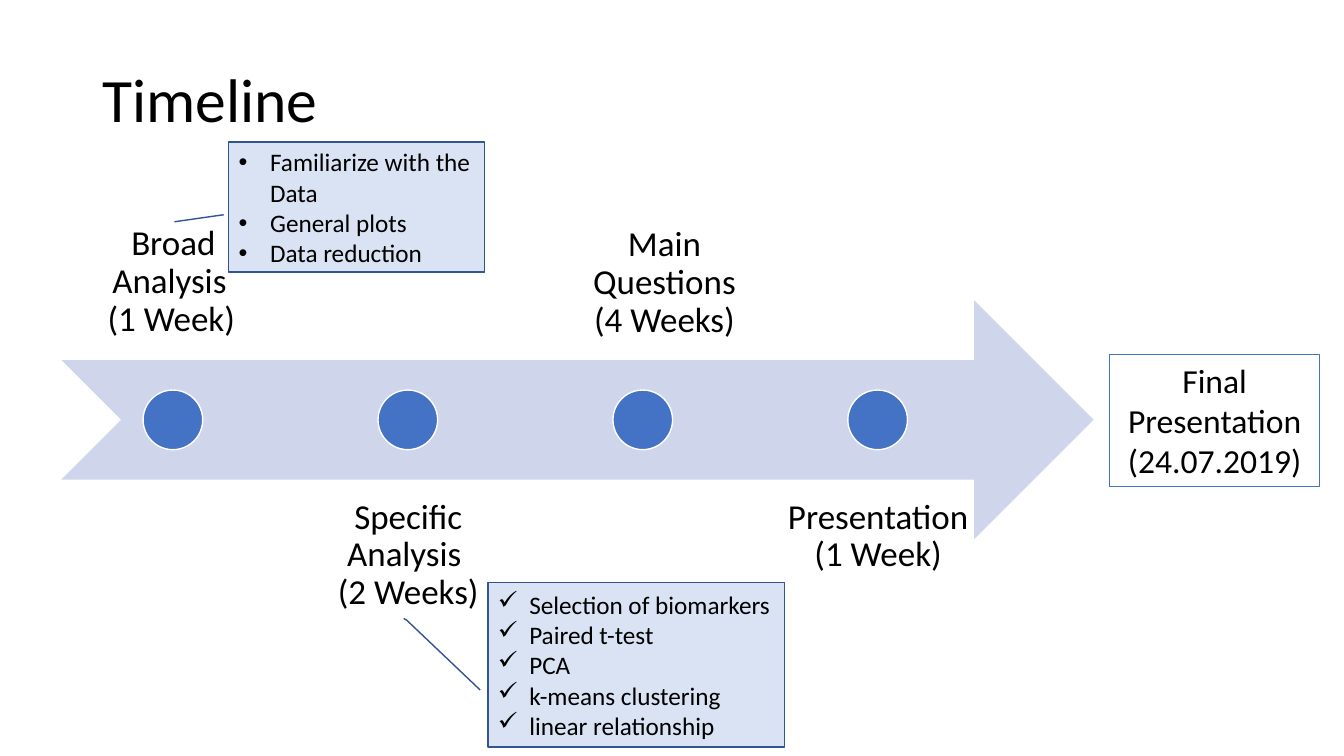
"""Build the project timeline slide."""
from lxml.etree import SubElement
from pptx import Presentation
from pptx.dml.color import RGBColor
from pptx.enum.shapes import MSO_CONNECTOR as CONN, MSO_SHAPE as SHAPE
from pptx.enum.text import MSO_ANCHOR as ANCHOR, PP_ALIGN as ALIGN
from pptx.oxml.ns import qn
from pptx.util import Pt

FONT = "Calibri"
BLACK, WHITE, BLUE = "000000", "FFFFFF", "4472C4"
ARROW_FILL, NOTE_FILL, NOTE_LINE, LINK = "CFD5EA", "DAE3F3", "325491", "2F5597"

TITLE = "Timeline"
# text, above the arrow, shift to the right, bottom inset
STAGES = [
    ("Broad Analysis ", True, 0, 43),
    ("Specific Analysis \v(2 Weeks)", False, 0, 13.7),
    ("Main Questions\v(4 Weeks)", True, 15.2, 13.7),
    ("Presentation\v(1 Week)", False, 0, 13.7),
]
BROAD_TIME = "(1 Week)"
FINAL = "Final Presentation\v(24.07.2019)"
BROAD_NOTE = ["Familiarize with the Data", "General plots", "Data reduction"]
SPECIFIC_NOTE = ["Selection of biomarkers", "Paired t-test", "PCA",
                 "k-means clustering", "linear relationship"]
CALLOUT = [0.653, -0.026, 0.228, -0.274, 0.218, -0.284]

ARROW = (43.9, 214.6, 737.3, 170.6)
LABEL_W, LABEL_H, STEP = 159.8, 170.6, 167.8
TOP_ABOVE, TOP_BELOW = 86, 342.7
DOT, DOT_X = 42.6, 102.2
INSET, INDENT = 13.7, 22.5


def rgb(value):
    return RGBColor.from_string(value)


def add_shape(kind, box, fill=None, line=None, width=1):
    s = slide.shapes.add_shape(kind, *map(Pt, box))
    s.shadow.inherit = False
    if fill:
        s.fill.solid()
        s.fill.fore_color.rgb = rgb(fill)
    else:
        s.fill.background()
    if line:
        s.line.color.rgb = rgb(line)
        s.line.width = Pt(width)
    else:
        s.line.fill.background()
    return s


def add_bullet(p, char):
    pPr = p._p.get_or_add_pPr()
    pPr.set("marL", str(Pt(INDENT)))
    pPr.set("indent", str(-Pt(INDENT)))
    if char == "•":
        SubElement(pPr, qn("a:buFont")).set("typeface", "Arial")
    SubElement(pPr, qn("a:buChar")).set("char", char)


def write(s, lines, size, align=ALIGN.LEFT, anchor=ANCHOR.TOP, spacing=None,
          bullet=None):
    tf = s.text_frame
    tf.word_wrap = True
    tf.vertical_anchor = anchor
    for i, line in enumerate(lines):
        p = tf.add_paragraph() if i else tf.paragraphs[0]
        p.text = line
        p.alignment = align
        if spacing:
            p.line_spacing = spacing
        if bullet:
            add_bullet(p, bullet)
        for r in p.runs:
            r.font.name = FONT
            r.font.size = Pt(size)
            r.font.color.rgb = rgb(BLACK)
    return tf


def add_text(box, text, size, **style):
    return write(slide.shapes.add_textbox(*map(Pt, box)), [text], size, **style)


def add_note(kind, box, lines, bullet):
    s = add_shape(kind, box, NOTE_FILL, NOTE_LINE)
    write(s, lines, 18, anchor=ANCHOR.MIDDLE, bullet=bullet)
    return s


prs = Presentation()
prs.slide_width, prs.slide_height = Pt(960), Pt(540)
slide = prs.slides.add_slide(prs.slide_layouts[6])

add_text((66, 20.9, 828, 104.4), TITLE, 44, anchor=ANCHOR.MIDDLE, spacing=0.9)
arrow = add_shape(SHAPE.NOTCHED_RIGHT_ARROW, ARROW, ARROW_FILL)

for i, (text, above, shift, bottom) in enumerate(STAGES):
    left = ARROW[0] + i * STEP + shift
    top = TOP_ABOVE if above else TOP_BELOW
    tf = add_text((left, top, LABEL_W, LABEL_H), text, 25, align=ALIGN.CENTER,
                  anchor=ANCHOR.BOTTOM if above else ANCHOR.TOP, spacing=0.9)
    tf.margin_left = tf.margin_right = tf.margin_top = Pt(INSET)
    tf.margin_bottom = Pt(bottom)
    dot_top = ARROW[1] + (ARROW[3] - DOT) / 2
    add_shape(SHAPE.OVAL, (DOT_X + i * STEP, dot_top, DOT, DOT), BLUE, WHITE)

add_text((69.8, 208.1, 115.9, 37.4), BROAD_TIME, 25)
add_note(SHAPE.RECTANGLE, (163.4, 101.5, 182.9, 92.9), BROAD_NOTE, "•")

link = slide.shapes.add_connector(CONN.STRAIGHT, Pt(124.6), Pt(158.4),
                                  Pt(159.8), Pt(153.4))
link.line.color.rgb = rgb(LINK)
link.line.width = Pt(1)
SubElement(link._element.spPr, qn("a:effectLst"))

callout = add_note(SHAPE.LINE_CALLOUT_2, (348.5, 416.2, 211.7, 117.4),
                   SPECIFIC_NOTE, "✓")
for i, value in enumerate(CALLOUT):
    callout.adjustments[i] = value

final = add_shape(SHAPE.RECTANGLE, (792.7, 253.4, 149.8, 94.3), line=BLUE, width=0.75)
write(final, [FINAL], 24, align=ALIGN.CENTER)

prs.save("out.pptx")
